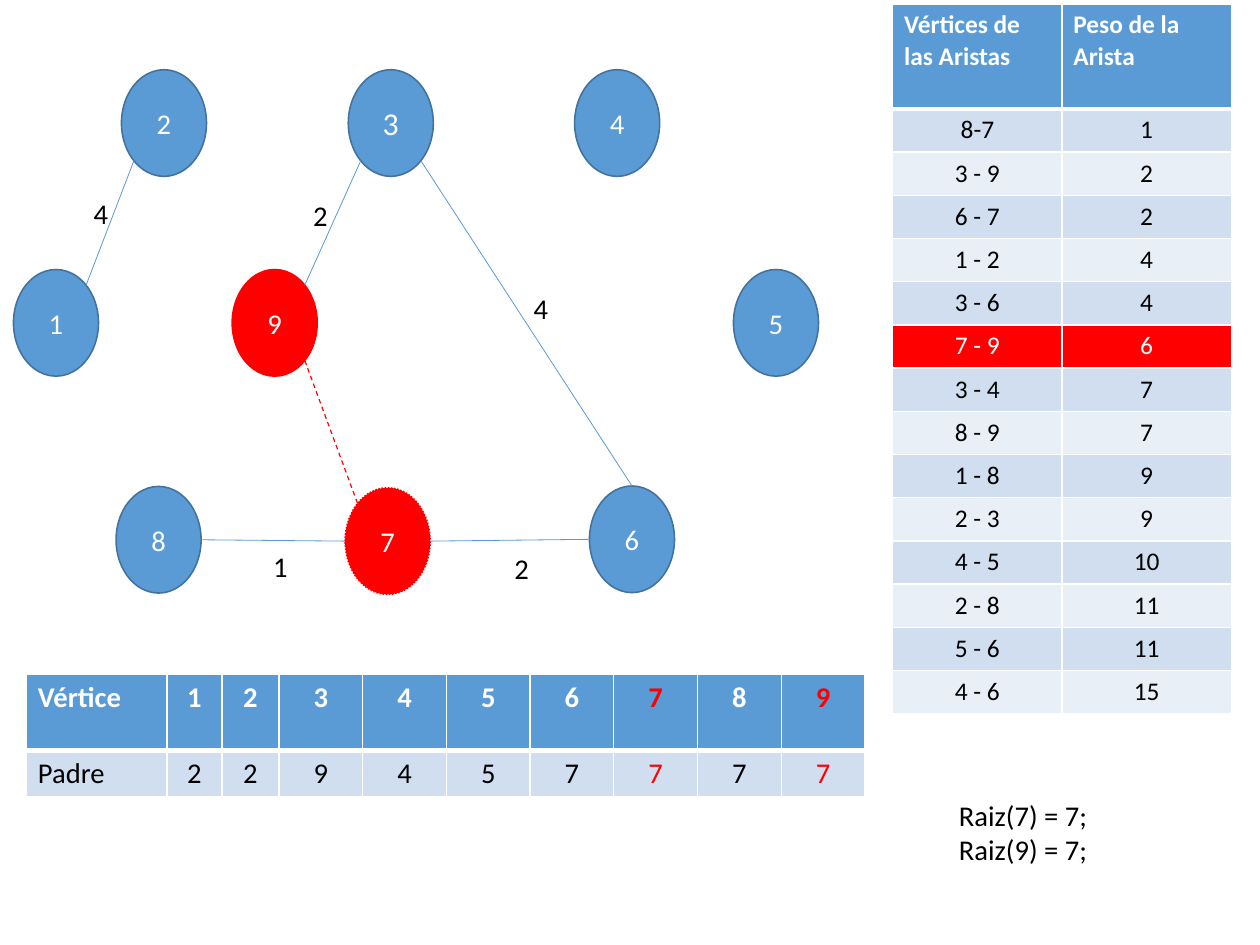
from lxml import etree
from pptx import Presentation, util as u
from pptx.dml.color import RGBColor
from pptx.enum import dml, shapes, text
from pptx.oxml.ns import qn

COLORS = {"blue": "5B9BD5", "outline": "43729D", "red": "FF0000", "white": "FFFFFF",
          "black": "000000", "band": "D1DEEF", "light": "E9EFF7"}
NODE_WIDTH, NODE_HEIGHT = 1.89, 2.37
NODES = {5: (16, 4.44), 9: (4.86, 4.44), 2: (2.4, 0), 1: (0, 4.44), 7: (7.37, 9.29),
         8: (2.28, 9.26), 6: (12.8, 9.25), 3: (7.44, 0), 4: (12.47, 0)}
DIAGONAL = 0.5 ** 0.5
SITES = {"top": (0, -1), "left": (-1, 0), "right": (1, 0),
         "top left": (-DIAGONAL, -DIAGONAL), "top right": (DIAGONAL, -DIAGONAL),
         "bottom left": (-DIAGONAL, DIAGONAL), "bottom right": (DIAGONAL, DIAGONAL)}
EDGES = [(8, "right", 7, "left"), (7, "right", 6, "left"),
         (3, "bottom left", 9, "top right"), (2, "bottom left", 1, "top right"),
         (3, "bottom right", 6, "top"), (9, "bottom right", 7, "top left")]
WEIGHTS = [("1", 5.52, 10.52), ("2", 10.88, 10.57), ("2", 6.41, 2.72),
           ("4", 11.31, 4.8), ("4", 1.53, 2.69)]
PARENTS = [["Vértice", "1", "2", "3", "4", "5", "6", "7", "8", "9"],
           ["Padre", "2", "2", "9", "4", "5", "7", "7", "7", "7"]]
ARISTAS = [["Vértices de las Aristas", "Peso de la Arista"],
           ["8-7", "1"], ["3 - 9", "2"], ["6 - 7", "2"], ["1 - 2", "4"], ["3 - 6", "4"],
           ["7 - 9", "6"], ["3 - 4", "7"], ["8 - 9", "7"], ["1 - 8", "9"], ["2 - 3", "9"],
           ["4 - 5", "10"], ["2 - 8", "11"], ["5 - 6", "11"], ["4 - 6", "15"]]


def color(name):
    """Return a named colour of the palette."""
    return RGBColor.from_string(COLORS[name])


def write(frame, content, size=18, ink="black", bold=False, align=text.PP_ALIGN.LEFT):
    """Fill a text frame with one paragraph per line."""
    for index, line in enumerate(content.split("\n")):
        para = frame.add_paragraph() if index else frame.paragraphs[0]
        para.alignment = align
        span = para.add_run()
        span.text = line
        span.font.name, span.font.size, span.font.bold = "Calibri", u.Pt(size), bold
        span.font.color.rgb = color(ink)


def add_label(page, box, content):
    """Place unwrapped text in a box given in centimetres."""
    label = page.shapes.add_textbox(*map(u.Cm, box))
    label.text_frame.word_wrap = False
    label.text_frame.auto_size = text.MSO_AUTO_SIZE.SHAPE_TO_FIT_TEXT
    write(label.text_frame, content)


def add_node(page, left, top, number):
    """Draw one numbered vertex."""
    node = page.shapes.add_shape(shapes.MSO_SHAPE.OVAL, u.Cm(left), u.Cm(top),
                                 u.Cm(NODE_WIDTH), u.Cm(NODE_HEIGHT))
    active = number in (7, 9)
    node.shadow.inherit = False
    node.fill.solid()
    node.fill.fore_color.rgb = color("red" if active else "blue")
    node.line.color.rgb = color("red" if active else "outline")
    node.line.width = u.Pt(1)
    if number == 7:
        node.line.dash_style = dml.MSO_LINE.ROUND_DOT
    node.text_frame.vertical_anchor = text.MSO_ANCHOR.MIDDLE
    write(node.text_frame, str(number), size=20 if number == 3 else 18, ink="white",
          align=text.PP_ALIGN.CENTER)
    return node


def site_point(node, site):
    """Return the point of a vertex outline at a named site."""
    across, down = SITES[site]
    return (int(node.left + node.width * (1 + across) / 2),
            int(node.top + node.height * (1 + down) / 2))


def add_edge(page, start, start_site, end, end_site, rejected):
    """Join two vertices with a straight line."""
    edge = page.shapes.add_connector(shapes.MSO_CONNECTOR.STRAIGHT,
                                     *site_point(start, start_site), *site_point(end, end_site))
    edge.line.color.rgb = color("red" if rejected else "blue")
    edge.line.width = u.Pt(0.75 if rejected else 0.5)
    if rejected:
        edge.line.dash_style = dml.MSO_LINE.DASH
    if end_site == "top":
        edge.end_connect(end, 0)
    etree.SubElement(edge._element.spPr, qn("a:effectLst"))


def draw_graph(page, box):
    """Draw the weighted graph from the top left corner of its box."""
    left, top = box
    nodes = {number: add_node(page, left + x, top + y, number)
             for number, (x, y) in NODES.items()}
    for start, start_site, end, end_site in EDGES:
        add_edge(page, nodes[start], start_site, nodes[end], end_site, (start, end) == (9, 7))
    for weight, x, y in WEIGHTS:
        add_label(page, (left + x, top + y, 0.81, 1.02), weight)


def style_cell(cell, fill, header):
    """Give a cell its white borders and its fill."""
    properties = cell._tc.get_or_add_tcPr()
    for side in ("L", "R", "T", "B") if header else ("L", "R", "B"):
        width = u.Pt(3) if header and side == "B" else u.Pt(0.96)
        border = etree.SubElement(properties, qn(f"a:ln{side}"), w=str(int(width)))
        paint = etree.SubElement(border, qn("a:solidFill"))
        etree.SubElement(paint, qn("a:srgbClr"), val=COLORS["white"])
    cell.fill.solid()
    cell.fill.fore_color.rgb = color(fill)


def draw_table(page, box, rows, widths, heights, size, choose):
    """Draw a table whose cell format comes from choose(row, column)."""
    grid = page.shapes.add_table(len(rows), len(widths), *map(u.Cm, box),
                                 u.Cm(sum(widths)), u.Cm(sum(heights))).table
    for column, width in zip(grid.columns, widths):
        column.width = u.Cm(width)
    for row, (height, values) in enumerate(zip(heights, rows)):
        grid.rows[row].height = u.Cm(height)
        for column, value in enumerate(values):
            cell = grid.cell(row, column)
            fill, ink, align = choose(row, column)
            style_cell(cell, fill, row == 0)
            write(cell.text_frame, value, size=size, ink=ink, bold=row == 0, align=align)


def parent_format(row, column):
    """Mark the compared vertices in red."""
    ink = "red" if column in (7, 9) else "black" if row else "white"
    align = text.PP_ALIGN.CENTER if column else text.PP_ALIGN.LEFT
    return "band" if row else "blue", ink, align


def arista_format(row, column):
    """Band the rows and mark the current edge in red."""
    if row == 0:
        return "blue", "white", text.PP_ALIGN.LEFT
    if ARISTAS[row][0] == "7 - 9":
        return "red", "white", text.PP_ALIGN.CENTER
    return "band" if row % 2 else "light", "black", text.PP_ALIGN.CENTER


def main():
    """Build the slide and save it."""
    deck = Presentation()
    deck.slide_width, deck.slide_height = u.Cm(28), u.Cm(21)
    page = deck.slides.add_slide(deck.slide_layouts[6])
    draw_graph(page, (0.3, 1.55))
    draw_table(page, (0.59, 14.98), PARENTS, [3.12, 1.22, 1.27] + [1.86] * 7,
               [1.7, 1.03], 18, parent_format)
    draw_table(page, (19.84, 0.09), ARISTAS, [3.76] * 2, [2.33] + [0.96] * 14,
               16, arista_format)
    add_label(page, (21.06, 17.6, 3.35, 1.78), "Raiz(7) = 7;\nRaiz(9) = 7;")
    deck.save("out.pptx")


if __name__ == "__main__":
    main()
